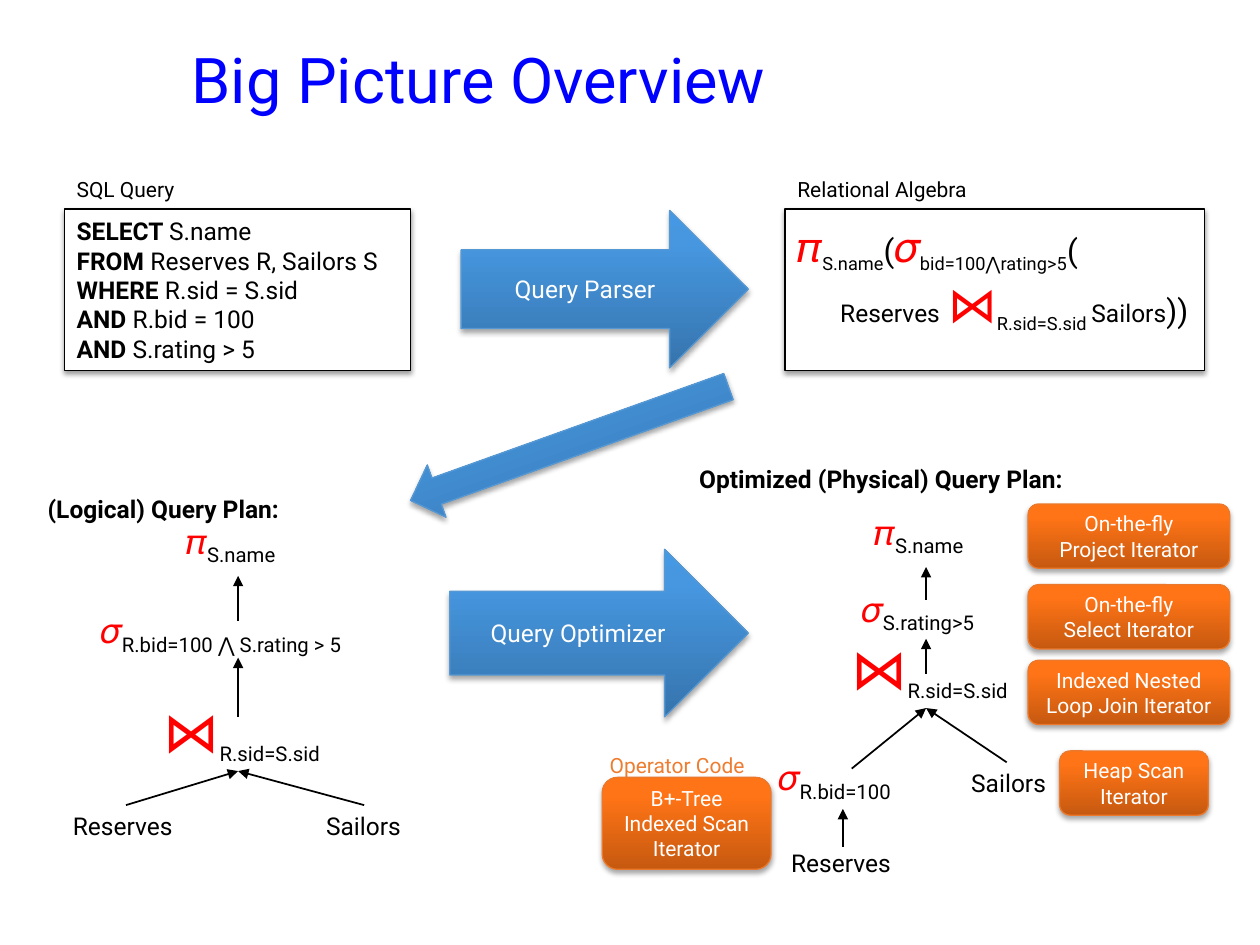
import pptx
import pptx.util
import pptx.dml.color
import pptx.enum.shapes
import pptx.enum.text
import pptx.oxml
import pptx.oxml.ns

Inches, Pt = pptx.util.Inches, pptx.util.Pt
hex_color = pptx.dml.color.RGBColor.from_string
SHAPE = pptx.enum.shapes.MSO_SHAPE
ALIGN = pptx.enum.text.PP_ALIGN
MIDDLE = pptx.enum.text.MSO_ANCHOR.MIDDLE
NS = pptx.oxml.ns.nsdecls("a")
BLACK, WHITE, RED = "000000", "FFFFFF", "FF0000"
BLUES = ("3674AD", "4697E0", "4498E4", "5698D3")
ORANGES = ("C65910", "FF7416", "FF7517", "EC792B")


def write(tf, paragraphs, align=ALIGN.LEFT):
    """Fill a frame; each run is (text, size, colour, style), style "b", "sub" or ""."""
    tf.word_wrap = True
    for i, runs in enumerate(paragraphs):
        p = tf.paragraphs[0] if i == 0 else tf.add_paragraph()
        p.alignment = align
        for text, size, color, style in runs:
            r = p.add_run()
            r.text = text
            r.font.name = "Roboto"
            r.font.size = Pt(size)
            r.font.bold = style == "b"
            r.font.color.rgb = hex_color(color)
            if style == "sub":
                r.font._element.set("baseline", "-25000")


def add_block(kind, box, colors, shadow_alpha=35, shadow_distance=1.8):
    """Add a shape with a soft shadow; colors are three gradient stops and a line, or fill and line."""
    s = slide.shapes.add_shape(kind, *[Inches(v) for v in box])
    s.line.color.rgb = hex_color(colors[-1])
    s.line.width = Pt(0.75)
    s.text_frame.vertical_anchor = MIDDLE
    spPr = s._element.spPr
    if len(colors) == 4:
        stops = "".join(f'<a:gs pos="{pos}000"><a:srgbClr val="{c}"/></a:gs>'
                        for pos, c in zip((0, 80, 100), colors))
        spPr.find(pptx.oxml.ns.qn("a:ln")).addprevious(pptx.oxml.parse_xml(
            f'<a:gradFill {NS} rotWithShape="1"><a:gsLst>{stops}</a:gsLst>'
            '<a:lin ang="16200000" scaled="0"/></a:gradFill>'))
    else:
        s.fill.solid()
        s.fill.fore_color.rgb = hex_color(colors[0])
    spPr.append(pptx.oxml.parse_xml(
        f'<a:effectLst {NS}><a:outerShdw blurRad="{Pt(3.1)}" dist="{Pt(shadow_distance)}" '
        f'dir="5400000" rotWithShape="0"><a:srgbClr val="000000">'
        f'<a:alpha val="{shadow_alpha}000"/></a:srgbClr></a:outerShdw></a:effectLst>'))
    return s


prs = pptx.Presentation()
prs.slide_width, prs.slide_height = Inches(10), Inches(7.5)
slide = prs.slides.add_slide(prs.slide_layouts[5])

# Title
title = slide.shapes.title
title.left, title.top, title.width, title.height = [Inches(v) for v in (1.42, 0, 7.83, 1.25)]
title.text_frame.vertical_anchor = MIDDLE
write(title.text_frame, [[("Big Picture Overview", 36, "0000FF", "")]])

# SQL query box
sql = [("SELECT ", "S.name"), ("FROM", " Reserves R, Sailors S"), ("WHERE ", "R.sid = S.sid"),
       ("AND ", "R.bid = 100"), ("AND ", "S.rating > 5")]
s = add_block(SHAPE.RECTANGLE, (0.51, 1.66, 2.75, 1.28), (WHITE, BLACK), 38, 1.6)
write(s.text_frame, [[(keyword, 14, BLACK, "b"), (rest, 14, BLACK, "")] for keyword, rest in sql])

# Relational algebra box
s = add_block(SHAPE.RECTANGLE, (6.23, 1.66, 3.33, 1.28), (WHITE, BLACK), 38, 1.6)
tf = s.text_frame
tf.margin_top, tf.margin_bottom = 0, Inches(0.2)
write(tf, [
    [("𝜋", 24, RED, ""), ("S.name", 18, BLACK, "sub"), ("(", 18, BLACK, ""),
     ("𝜎", 24, RED, ""), ("bid=100⋀rating>5", 18, BLACK, "sub"), ("(", 18, BLACK, "")],
    [("Reserves", 14, BLACK, ""), (" ", 18, BLACK, ""), ("⋈", 28, RED, ""),
     ("R.sid=S.sid ", 18, BLACK, "sub"), ("Sailors", 14, BLACK, ""), ("))", 18, BLACK, "")]])
tf.paragraphs[1]._p.get_or_add_pPr().set("marL", str(Inches(0.34)))

# Blue step arrows
for box, label in [((3.66, 1.67, 2.28, 1.25), "Query Parser"),
                   ((3.57, 4.36, 2.37, 1.33), "Query Optimizer")]:
    s = add_block(SHAPE.RIGHT_ARROW, box, BLUES)
    write(s.text_frame, [[(label, 14, WHITE, "")]], ALIGN.CENTER)
s = add_block(SHAPE.LEFT_ARROW, (3.18, 3.3, 2.68, 0.44), BLUES)
s.rotation = 340.3

# Captions and plan leaves
labels = [
    (0.51, 1.35, 1.04, 0.3, "SQL Query", 12, BLACK, ""),
    (6.23, 1.35, 1.7, 0.3, "Relational Algebra", 12, BLACK, ""),
    (0.28, 3.87, 2.17, 0.34, "(Logical) Query Plan:", 14, BLACK, "b"),
    (5.45, 3.63, 3.28, 0.34, "Optimized (Physical) Query Plan:", 14, BLACK, "b"),
    (0.48, 6.39, 1.03, 0.34, "Reserves", 14, BLACK, ""),
    (2.49, 6.39, 0.8, 0.34, "Sailors", 14, BLACK, ""),
    (6.18, 6.68, 1.03, 0.34, "Reserves", 14, BLACK, ""),
    (7.61, 6.05, 0.8, 0.34, "Sailors", 14, BLACK, ""),
    (4.74, 5.92, 1.36, 0.3, "Operator Code", 12, "ED7D31", ""),
]
for x, y, w, h, *run in labels:
    s = slide.shapes.add_textbox(Inches(x), Inches(y), Inches(w), Inches(h))
    write(s.text_frame, [[run]])

# Plan operators: red symbol with subscript; join boxes are wide enough for one line
operators = [
    (1.38, 4.07, 1.01, 0.44, "𝜋", 20, "S.name"),
    (0.7, 4.78, 2.38, 0.44, "𝜎", 20, "R.bid=100 ⋀ S.rating > 5"),
    (1.2, 5.48, 1.5, 0.64, "⋈", 32, "R.sid=S.sid"),
    (6.84, 4, 1.01, 0.44, "𝜋", 20, "S.name"),
    (6.74, 4.61, 1.22, 0.44, "𝜎", 20, "S.rating>5"),
    (6.66, 4.98, 1.5, 0.64, "⋈", 32, "R.sid=S.sid"),
    (6.08, 5.95, 1.22, 0.44, "𝜎", 20, "R.bid=100"),
]
for x, y, w, h, symbol, size, subscript in operators:
    s = slide.shapes.add_textbox(Inches(x), Inches(y), Inches(w), Inches(h))
    write(s.text_frame, [[(symbol, size, RED, ""), (subscript, 20, BLACK, "sub")]])

# Data flow arrows
flows = [
    (1, 6.39, 1.89, 6.12), (2.89, 6.39, 1.89, 6.12),
    (1.89, 5.69, 1.89, 5.22), (1.89, 4.93, 1.89, 4.57),
    (6.76, 6.1, 7.35, 5.62), (7.99, 6.05, 7.35, 5.62),
    (7.35, 5.35, 7.35, 5.07), (7.35, 4.76, 7.35, 4.5), (6.69, 6.72, 6.69, 6.42),
]
for ends in flows:
    s = slide.shapes.add_connector(pptx.enum.shapes.MSO_CONNECTOR.STRAIGHT,
                                   *[Inches(v) for v in ends])
    s.line.color.rgb = hex_color(BLACK)
    s.line.width = Pt(1)
    s.line._get_or_add_ln().append(pptx.oxml.parse_xml(f'<a:tailEnd {NS} type="triangle"/>'))
    s._element.spPr.append(pptx.oxml.parse_xml(f"<a:effectLst {NS}/>"))

# Iterator boxes
iterators = [
    ((8.16, 4, 1.6, 0.51), ["On-the-fly", "Project Iterator"]),
    ((8.16, 4.64, 1.6, 0.51), ["On-the-fly", "Select Iterator"]),
    ((8.16, 5.24, 1.6, 0.51), ["Indexed Nested Loop Join Iterator"]),
    ((8.41, 5.96, 1.18, 0.51), ["Heap Scan Iterator"]),
    ((4.78, 6.17, 1.34, 0.73), ["B+-Tree", "Indexed Scan Iterator"]),
]
for box, lines in iterators:
    s = add_block(SHAPE.ROUNDED_RECTANGLE, box, ORANGES)
    write(s.text_frame, [[(line, 12, WHITE, "")] for line in lines], ALIGN.CENTER)

prs.save("out.pptx")
